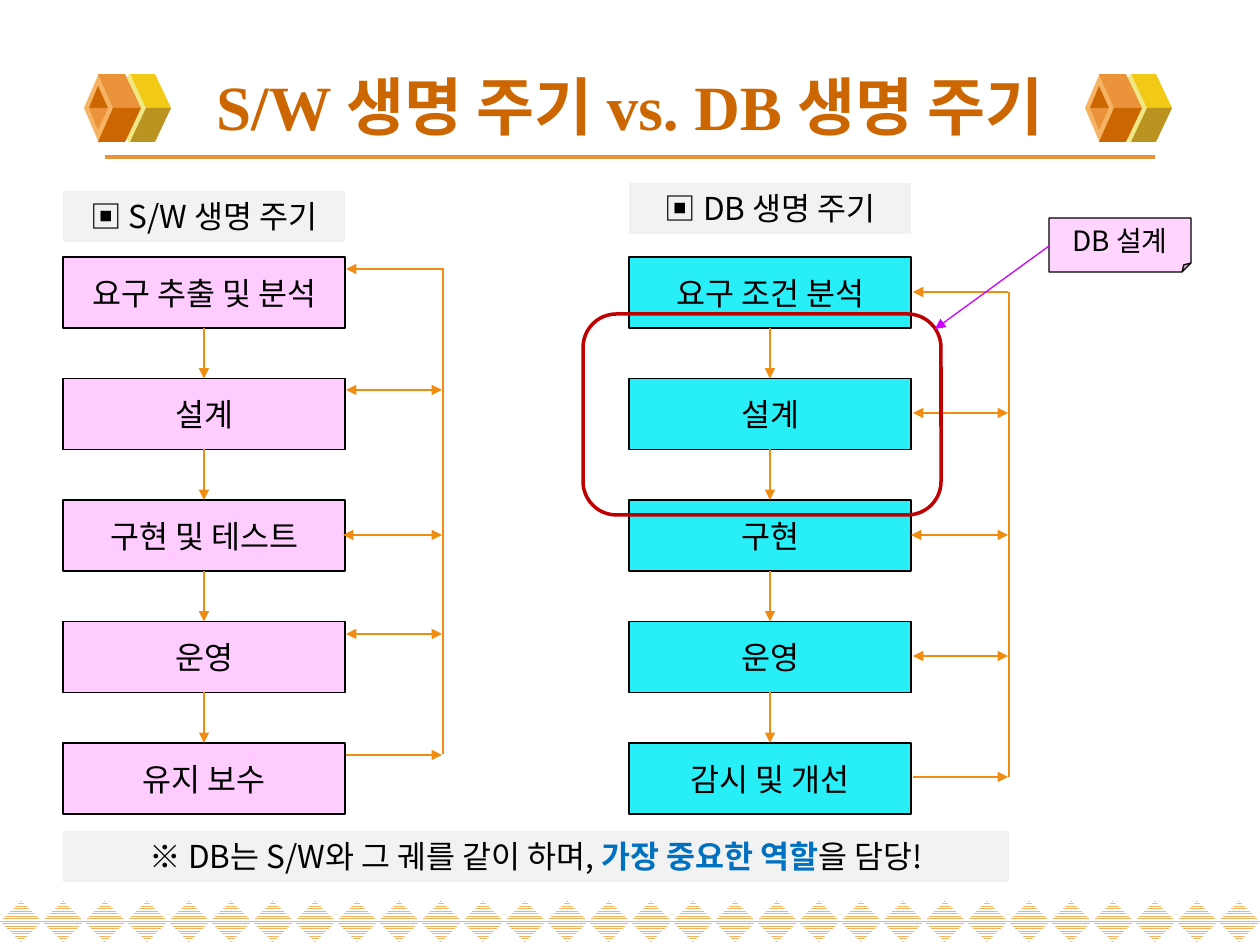
from lxml.etree import SubElement
from pptx import Presentation
from pptx.dml.color import RGBColor
from pptx.enum.dml import MSO_PATTERN
from pptx.enum.shapes import MSO_CONNECTOR, MSO_SHAPE
from pptx.enum.text import MSO_ANCHOR, PP_ALIGN
from pptx.oxml.ns import qn
from pptx.util import Pt

PX = 914400 / 126
SANS, SERIF = "Noto Sans CJK KR", "Times New Roman"
ORANGE, GREY, BLACK = "F08C12", "F2F2F2", "000000"

TITLE = "S/W 생명 주기 vs. DB 생명 주기"
NOTE = [
    ("※ DB는 S/W와 그 궤를 같이 하며, ", {}),
    ("가장 중요한 역할", {"color": "0070C0", "bold": True}),
    ("을 담당!", {}),
]
# A branch is (box end x, y, arrow at box, arrow at trunk).
CYCLES = [
    {
        "label": "▣ S/W 생명 주기", "top": 191, "left": 63, "fill": "FFCCFF",
        "steps": ["요구 추출 및 분석", "설계", "구현 및 테스트", "운영", "유지 보수"],
        "trunk": (443, 268, 754),
        "branches": [(346, 269, 1, 0), (346, 390, 1, 1), (343, 535, 1, 1),
                     (346, 634, 1, 1), (346, 755, 0, 1)],
    },
    {
        "label": "▣ DB 생명 주기", "top": 183, "left": 629, "fill": "28EEF8",
        "steps": ["요구 조건 분석", "설계", "구현", "운영", "감시 및 개선"],
        "trunk": (1009, 292, 777),
        "branches": [(913, 292, 1, 0), (913, 413, 1, 1), (911, 535, 1, 1),
                     (913, 656, 1, 1), (913, 777, 0, 1)],
    },
]
BOX_W, BOX_H, BOX_TOP, BOX_SPAN = 282, 71, 257, 486

# Cube parts, x measured from the cube's left edge: diamonds, then outlines.
CUBE_LEFTS, CUBE_MID = (84, 1085), 108
CUBE = [
    ((24, 74, 42, 69), "F1E785", [
        ([(62, 108), (87, 108), (71, 74), (46, 74)], "F3C917", "BB9321")]),
    ((0, 73, 30, 70), "F5B363", [
        ([(29, 108), (57, 108), (41, 74), (14, 74)], "EB933B", "CC6600"),
        ([(14, 86), (5, 108), (24, 108)], "CC6600", "EB933B")]),
]

deck = Presentation()
deck.slide_width, deck.slide_height = round(1260 * PX), round(945 * PX)
slide = deck.slides.add_slide(deck.slide_layouts[6])
shapes = slide.shapes


def emu(*vals):
    return [round(v * PX) for v in vals]


def rgb(code):
    return RGBColor.from_string(code)


def paint(item, fill=None, line=None, width=0.75):
    item.shadow.inherit = False
    if fill:
        item.fill.solid()
        item.fill.fore_color.rgb = rgb(fill)
    else:
        item.fill.background()
    if line:
        item.line.color.rgb = rgb(line)
        item.line.width = Pt(width)
    else:
        item.line.fill.background()
    return item


def shape(kind, box, **look):
    return paint(shapes.add_shape(kind, *emu(*box)), **look)


def write(item, runs, anchor=MSO_ANCHOR.MIDDLE, **base):
    """Fill item with one centred paragraph of (text, format) runs."""
    frame = item.text_frame
    frame.word_wrap = True
    frame.vertical_anchor = anchor
    para = frame.paragraphs[0]
    para.alignment = PP_ALIGN.CENTER
    for text, extra in runs:
        style = {"size": Pt(18), "name": SANS, "bold": False,
                 "color": BLACK, **base, **extra}
        run = para.add_run()
        run.text = text
        run.font.color.rgb = rgb(style.pop("color"))
        for key, val in style.items():
            setattr(run.font, key, val)
        SubElement(run.font._element, qn("a:ea"), typeface=SANS)


def line(start, end, color=ORANGE, width=0.75, head=False, tail=False):
    link = shapes.add_connector(MSO_CONNECTOR.STRAIGHT, *emu(*start, *end))
    link.line.color.rgb = rgb(color)
    link.line.width = Pt(width)
    stroke = link.line._get_or_add_ln()
    for tag, shown in (("a:headEnd", head), ("a:tailEnd", tail)):
        if shown:
            SubElement(stroke, qn(tag), type="triangle")
    SubElement(link._element.spPr, qn("a:effectLst"))


def outline(points, fill):
    build = shapes.build_freeform(*points[0], scale=PX)
    build.add_line_segments(points[1:])
    paint(build.convert_to_shape(), fill=fill)


def cube(left):
    """Draw each outline above the middle line and mirrored below it."""
    for (x, y, w, h), fill, faces in CUBE:
        shape(MSO_SHAPE.DIAMOND, (left + x, y, w, h), fill=fill)
        for points, upper, lower in faces:
            outline([(left + x, y) for x, y in points], upper)
            outline([(left + x, 2 * CUBE_MID - y) for x, y in points], lower)


def cycle(label, top, left, fill, steps, trunk, branches):
    mid = left + BOX_W / 2
    tops = [BOX_TOP + BOX_SPAN * i / (len(steps) - 1) for i in range(len(steps))]
    for step, y in zip(steps, tops):
        box = shape(MSO_SHAPE.RECTANGLE, (left, y, BOX_W, BOX_H),
                    fill=fill, line=BLACK)
        write(box, [(step, {})])
    for y, below in zip(tops, tops[1:]):
        line((mid, y + BOX_H), (mid, below), tail=True)
    head = shape(MSO_SHAPE.RECTANGLE, (left, top, BOX_W, 51), fill=GREY)
    write(head, [(label, {})], MSO_ANCHOR.TOP)
    x, start, end = trunk
    line((x, start), (x, end))
    for edge, y, inward, outward in branches:
        line((edge, y), (x - 1, y), head=inward, tail=outward)


for i in range(30):
    gem = shape(MSO_SHAPE.DIAMOND, (42 * i, 901, 42, 41))
    gem.fill.patterned()
    gem.fill.pattern = MSO_PATTERN.NARROW_HORIZONTAL
    gem.fill.fore_color.rgb = rgb("F5B363")
    gem.fill.back_color.rgb = rgb("FFFFFF")

line((105, 157), (1155, 157), "EB933B", 2.25)
for left in CUBE_LEFTS:
    cube(left)
title = shapes.add_textbox(*emu(63, 57, 1134, 96))
write(title, [(TITLE, {})], size=Pt(36), name=SERIF, bold=True, color="CC6600")

for data in CYCLES:
    cycle(**data)

shape(MSO_SHAPE.ROUNDED_RECTANGLE, (583, 314, 358, 201), line="C00000", width=2)
memo = shape(MSO_SHAPE.FOLDED_CORNER, (1049, 218, 142, 54),
             fill="FFD5FF", line=BLACK)
write(memo, [("DB 설계", {})], size=Pt(16))
line((1049, 246), (935, 329), "CC00FF", tail=True)
note = shape(MSO_SHAPE.RECTANGLE, (63, 831, 946, 51), fill=GREY)
write(note, NOTE, MSO_ANCHOR.TOP)

deck.save("out.pptx")
